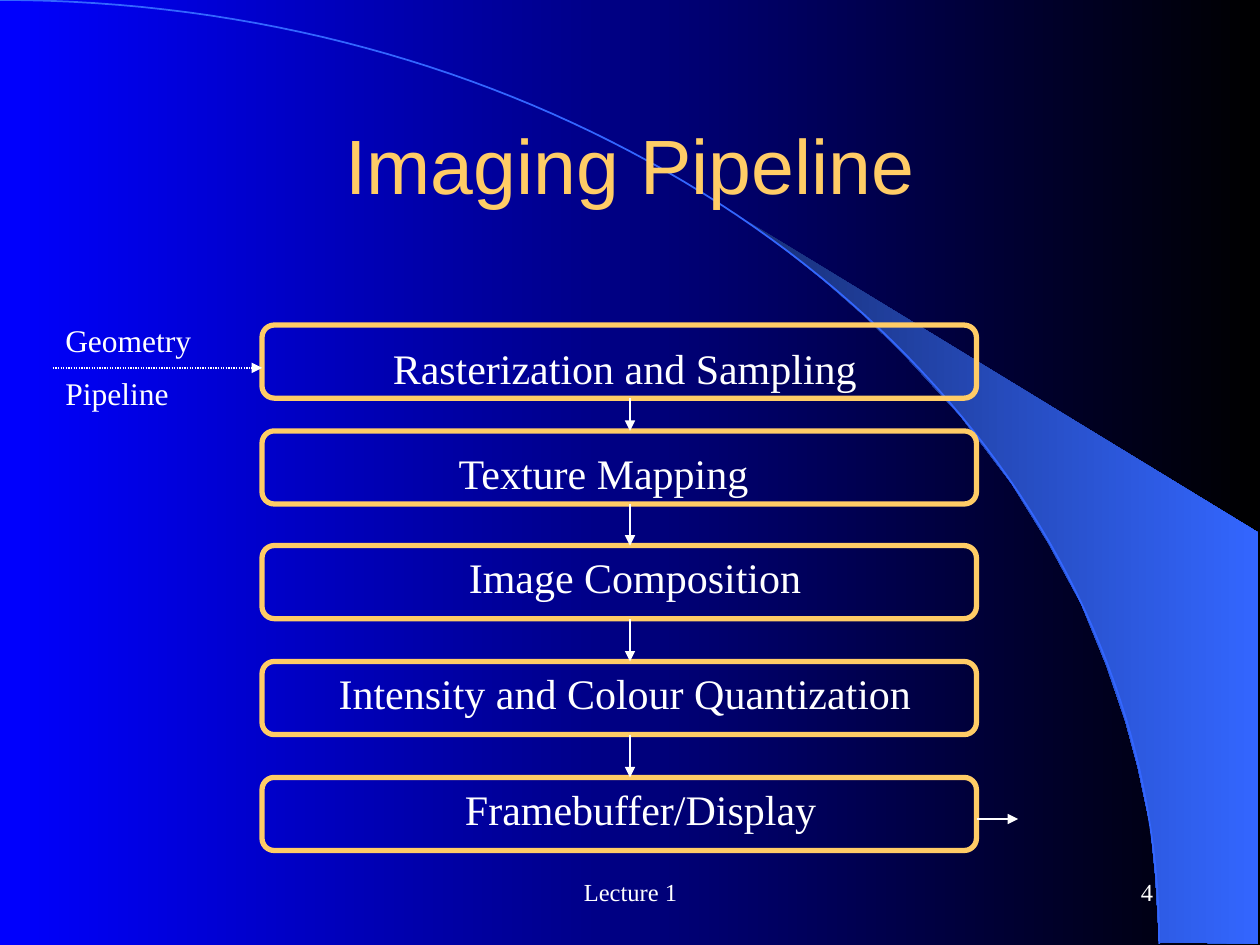
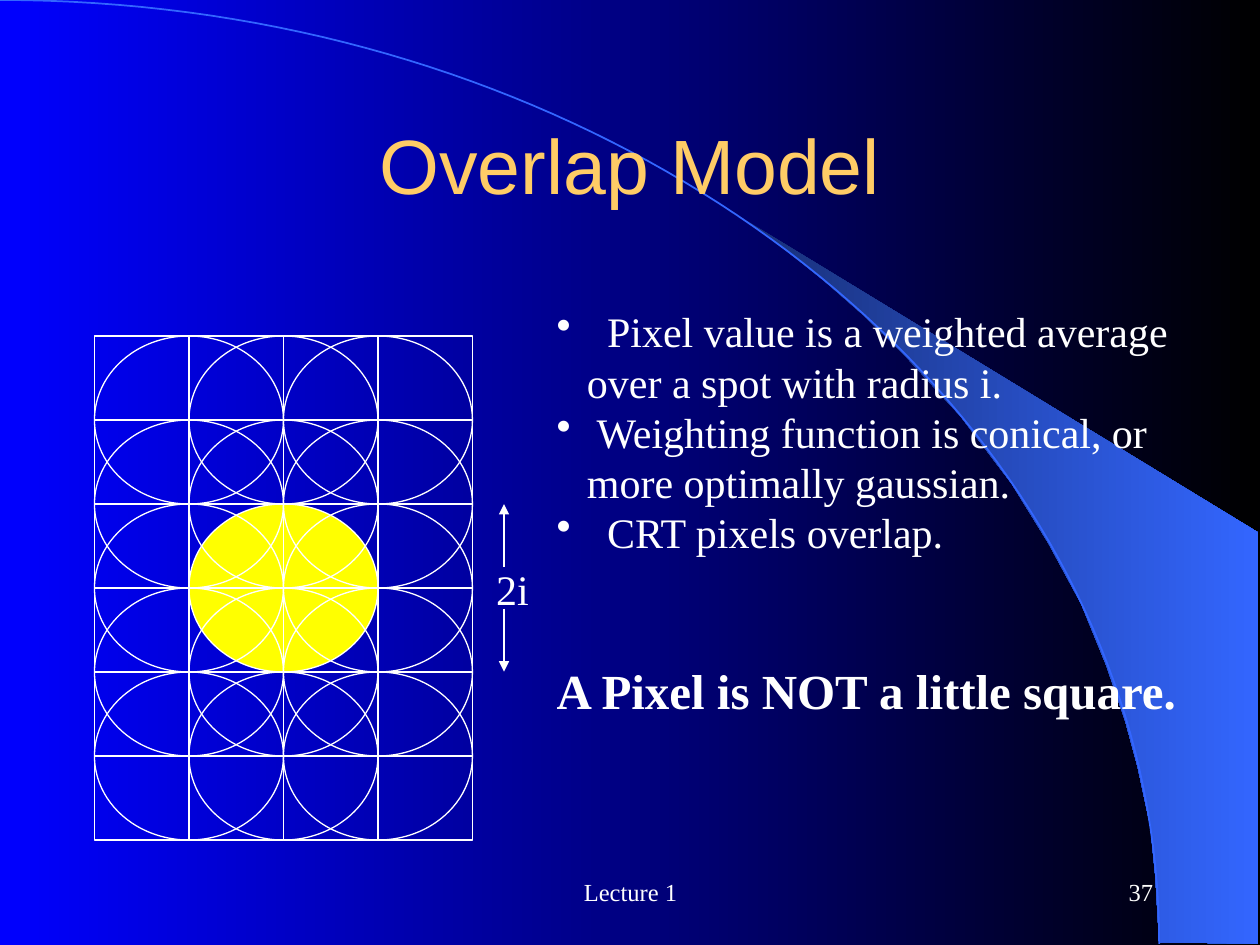
from lxml import etree
from pptx import Presentation
from pptx.dml.color import RGBColor
from pptx.enum.dml import MSO_LINE_DASH_STYLE as DASH
from pptx.enum.shapes import MSO_CONNECTOR, MSO_SHAPE as SHAPE
from pptx.enum.text import MSO_ANCHOR as ANCHOR, PP_ALIGN as ALIGN
from pptx.oxml.ns import qn
from pptx.util import Inches, Pt

COLOURS = {name: RGBColor.from_string(value) for name, value in {
    "blue": "0000FF", "black": "000000", "navy": "182F76", "sky": "3366FF",
    "gold": "FFCC66", "white": "FFFFFF", "yellow": "FFFF00",
}.items()}
SERIF = "Times New Roman"
SANS = "Arial"


def add_text(slide, text, left, top, width, height, size=24, font=SERIF, colour="white",
             bold=False, align=ALIGN.LEFT, anchor=ANCHOR.TOP, wrap=True,
             bullet_indent=None, tab=None, line_spacing=None):
    box = slide.shapes.add_textbox(Inches(left), Inches(top), Inches(width), Inches(height))
    frame = box.text_frame
    frame.word_wrap = wrap
    frame.vertical_anchor = anchor
    for index, line in enumerate(text.split("\n")):
        paragraph = frame.paragraphs[0] if index == 0 else frame.add_paragraph()
        paragraph.text = line
        paragraph.alignment = align
        paragraph.line_spacing = line_spacing
        if bullet_indent:
            properties = paragraph._p.get_or_add_pPr()
            properties.set("marL", str(Inches(bullet_indent)))
            properties.set("indent", str(-Inches(bullet_indent)))
            etree.SubElement(properties, qn("a:buChar")).set("char", "•")
            if tab:
                tabs = etree.SubElement(properties, qn("a:tabLst"))
                stop = etree.SubElement(tabs, qn("a:tab"))
                stop.set("pos", str(Inches(tab)))
                stop.set("algn", "l")
        for run in paragraph.runs:
            run.font.name = font
            run.font.size = Pt(size)
            run.font.bold = bold
            run.font.color.rgb = COLOURS[colour]


def add_arrow(slide, x1, y1, x2, y2, dash=None):
    arrow = slide.shapes.add_connector(
        MSO_CONNECTOR.STRAIGHT, Inches(x1), Inches(y1), Inches(x2), Inches(y2))
    arrow.line.color.rgb = COLOURS["white"]
    arrow.line.width = Pt(0.75)
    if dash:
        arrow.line.dash_style = dash
    etree.SubElement(arrow.line._get_or_add_ln(), qn("a:tailEnd")).set("type", "triangle")
    etree.SubElement(arrow._element.spPr, qn("a:effectLst"))


presentation = Presentation()
presentation.slide_width = Inches(10)
presentation.slide_height = Inches(7.5)

BEAM = [(9.2, 7.48), (9.99, 7.49), (9.99, 4.23), (5.89, 1.73), (6.24, 1.99), (6.53, 2.22),
        (6.85, 2.5), (7.16, 2.8), (7.62, 3.3), (8.03, 3.84), (8.32, 4.31), (8.58, 4.79),
        (8.78, 5.28), (8.93, 5.72), (9.03, 6.09), (9.13, 6.56), (9.17, 6.96)]
STEPS = 80
ARC = []
for step in range(STEPS + 1):
    t = step / STEPS
    ARC.append((3 * (1 - t) ** 2 * t * 5.08 + (3 * (1 - t) * t ** 2 + t ** 3) * 9.2,
                3 * (1 - t) * t ** 2 * 3.35 + t ** 3 * 7.49))

slides = []
for title, number in [("Imaging Pipeline", "4"), ("Overlap Model", "37")]:
    slide = presentation.slides.add_slide(presentation.slide_layouts[6])
    slides.append(slide)

    outlines = []
    for points, closed in [(BEAM, True), (ARC, False)]:
        corners = [(Inches(x), Inches(y)) for x, y in points]
        builder = slide.shapes.build_freeform(*corners[0])
        builder.add_line_segments(corners[1:], close=closed)
        outline = builder.convert_to_shape()
        outline.shadow.inherit = False
        outlines.append(outline)
    beam, arc = outlines
    beam.line.fill.background()
    arc.fill.background()
    arc.line.color.rgb = COLOURS["sky"]
    arc.line.width = Pt(1)

    for fill, start, end in [(slide.background.fill, "blue", "black"),
                             (beam.fill, "navy", "sky")]:
        fill.gradient()
        fill.gradient_angle = 0
        for stop, colour in zip(fill.gradient_stops, (start, end)):
            stop.color.rgb = COLOURS[colour]

    add_text(slide, title, 0.75, 0.67, 8.5, 1.25, size=44, font=SANS, colour="gold",
             align=ALIGN.CENTER, anchor=ANCHOR.MIDDLE)
    add_text(slide, "Lecture 1", 3.42, 6.83, 3.17, 0.5, size=14,
             align=ALIGN.CENTER, anchor=ANCHOR.MIDDLE)
    add_text(slide, number, 7.17, 6.83, 2.08, 0.5, size=14,
             align=ALIGN.RIGHT, anchor=ANCHOR.MIDDLE)

pipeline, overlap = slides

STAGE_LEFT, STAGE_WIDTH, STAGE_HEIGHT = 2.08, 5.67, 0.58
stages = [
    ("Rasterization and Sampling", 2.58, 1.96, 2.67, 6),
    ("Texture Mapping", 3.42, 2.58, 3.5, 4.42),
    ("Image Composition", 4.33, 2.83, 4.33, 4.42),
    ("Intensity and Colour Quantization", 5.25, 2.17, 5.25, 5.58),
    ("Framebuffer/Display", 6.17, 2.5, 6.17, 5.17),
]
for label, top, label_left, label_top, label_width in stages:
    stage = pipeline.shapes.add_shape(SHAPE.ROUNDED_RECTANGLE, Inches(STAGE_LEFT), Inches(top),
                                      Inches(STAGE_WIDTH), Inches(STAGE_HEIGHT))
    stage.shadow.inherit = False
    stage.fill.background()
    stage.line.color.rgb = COLOURS["gold"]
    stage.line.width = Pt(3)
    add_text(pipeline, label, label_left, label_top, label_width, 0.5, align=ALIGN.CENTER)
for upper, lower in zip(stages, stages[1:]):
    add_arrow(pipeline, 5, upper[1] + STAGE_HEIGHT, 5, lower[1])
add_arrow(pipeline, 0.42, 2.92, STAGE_LEFT, 2.92, dash=DASH.ROUND_DOT)
add_arrow(pipeline, STAGE_LEFT + STAGE_WIDTH, 6.5, 8.08, 6.5)
add_text(pipeline, "Geometry", 0.42, 2.5, 1.2, 0.4, size=18, wrap=False)
add_text(pipeline, "Pipeline", 0.42, 2.92, 1.08, 0.4, size=18)

GRID_LEFT, GRID_TOP = 0.75, 8 / 3
CELL_WIDTH, CELL_HEIGHT = 0.75, 2 / 3
COLUMNS, ROWS = 4, 6
SPOT = (SHAPE.OVAL, 1, 2, 2)
pixels = [(SHAPE.RECTANGLE, column, row, 1) for row in range(ROWS) for column in range(COLUMNS)]
spots = [(SHAPE.OVAL, column, row, 2) for row in range(ROWS - 1) for column in range(COLUMNS - 1)]
spots.remove(SPOT)
for kind, column, row, span in [SPOT] + pixels + spots:
    shape = overlap.shapes.add_shape(
        kind, Inches(GRID_LEFT + column * CELL_WIDTH), Inches(GRID_TOP + row * CELL_HEIGHT),
        Inches(span * CELL_WIDTH), Inches(span * CELL_HEIGHT))
    shape.shadow.inherit = False
    shape.line.color.rgb = COLOURS["white"]
    shape.line.width = Pt(0.75)
    if (kind, column, row, span) == SPOT:
        shape.fill.solid()
        shape.fill.fore_color.rgb = COLOURS["yellow"]
    else:
        shape.fill.background()

add_arrow(overlap, 4, 4.5, 4, 4)
add_arrow(overlap, 4, 4.83, 4, 5.33)
add_text(overlap, "2i", 3.84, 4.42, 0.46, 0.5, wrap=False)
add_text(overlap, "\tPixel value is a weighted average over a spot with radius i.\n"
         " Weighting function is conical, or more optimally gaussian.\n"
         "\tCRT pixels overlap.",
         4.32, 2.38, 5.27, 2.1, bullet_indent=0.24, tab=0.4, line_spacing=Pt(28.7))
add_text(overlap, "A Pixel is NOT a little square.", 4.32, 5.19, 5.27, 0.56, size=28, bold=True)

presentation.save("out.pptx")
